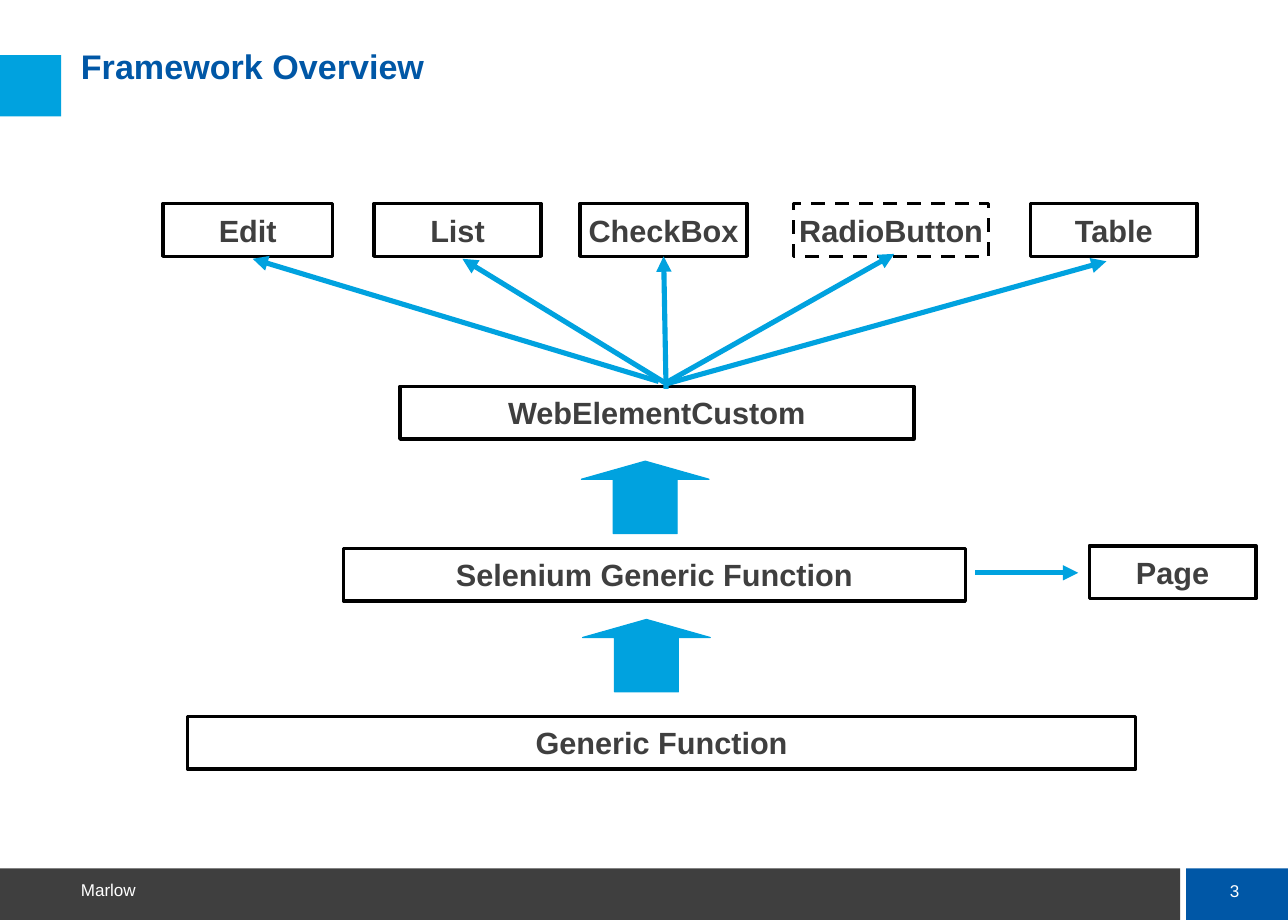
"""Build the Framework Overview slide: a layered diagram of test classes."""
from dataclasses import dataclass

from lxml import etree
from pptx import Presentation
from pptx.dml.color import RGBColor
from pptx.enum.dml import MSO_LINE
from pptx.enum.shapes import MSO_CONNECTOR, MSO_SHAPE
from pptx.enum.text import MSO_ANCHOR, MSO_AUTO_SIZE, PP_ALIGN
from pptx.oxml.ns import qn
from pptx.util import Pt

RECTANGLE, UP_ARROW = MSO_SHAPE.RECTANGLE, MSO_SHAPE.UP_ARROW
STRAIGHT, DASH = MSO_CONNECTOR.STRAIGHT, MSO_LINE.DASH
TOP, MIDDLE, BOTTOM = MSO_ANCHOR.TOP, MSO_ANCHOR.MIDDLE, MSO_ANCHOR.BOTTOM
LEFT, CENTER = PP_ALIGN.LEFT, PP_ALIGN.CENTER
NO_AUTO_SIZE = MSO_AUTO_SIZE.NONE

EMU_PER_PX = 9144
SLIDE_SIZE = (1050, 750)
TITLE_ONLY_LAYOUT = 5


@dataclass(frozen=True)
class Theme:
    """Colours, font and type sizes of the slide."""
    font: str = "Arial"
    accent: RGBColor = RGBColor(0x00, 0xA2, 0xDF)
    navy: RGBColor = RGBColor(0x00, 0x57, 0xA6)
    charcoal: RGBColor = RGBColor(0x3F, 0x3F, 0x3F)
    black: RGBColor = RGBColor(0x00, 0x00, 0x00)
    white: RGBColor = RGBColor(0xFF, 0xFF, 0xFF)
    title_size: int = 20
    box_size: int = 18
    footer_size: int = 10
    box_line: float = 2
    block_line: float = 0.75
    arrow_line: float = 3


THEME = Theme()

TITLE = ("Framework Overview", (66, 41, 896, 66))
BANDS = [
    ((0, 708, 962, 42), THEME.charcoal),
    ((967, 708, 83, 42), THEME.navy),
    ((0, 45, 50, 50), THEME.accent),
]
FOOTERS = [
    ("3", (982, 713, 49, 27), MIDDLE, CENTER),
    ("Marlow", (66, 715, 419, 19), BOTTOM, LEFT),
]
BOX_HEIGHT = 43
ELEMENT_TOP = 166
ELEMENTS = [
    ("Edit", 133, 138),
    ("List", 305, 136),
    ("CheckBox", 473, 136),
    ("RadioButton", 647, 159),
    ("Table", 840, 136),
]
DASHED_ELEMENTS = {"RadioButton"}
LAYERS = [
    ("WebElementCustom", 326, 315, 419),
    ("Selenium Generic Function", 280, 447, 507),
    ("Generic Function", 153, 584, 773),
    ("Page", 888, 445, 136),
]
BLOCK_ARROWS = [(474, 376), (475, 505)]
BLOCK_ARROW_SIZE = (104, 59)
BLOCK_ARROW_ADJUSTMENTS = (0.5, 0.25)
ARROWS = [
    ((537, 311), (206, 211)),
    ((542, 312), (377, 211)),
    ((543, 317), (541, 209)),
    ((543, 312), (729, 207)),
    ((543, 313), (902, 213)),
    ((795, 467), (879, 467)),
]


def to_emu(lengths):
    """Turn px lengths into EMU."""
    return [length * EMU_PER_PX for length in lengths]


def apply_format(target, values):
    """Set attributes from a dict of format values."""
    for name, value in values.items():
        setattr(target, name, value)


def write_text(shape, text, size, color, bold=False, anchor=MIDDLE,
               alignment=CENTER, inset=0, wrap=True):
    """Put one formatted paragraph into a shape."""
    frame = shape.text_frame
    frame.text = text
    margins = dict.fromkeys(
        ("margin_left", "margin_top", "margin_right", "margin_bottom"),
        inset * EMU_PER_PX)
    apply_format(frame, {**margins, "word_wrap": wrap,
                         "auto_size": NO_AUTO_SIZE, "vertical_anchor": anchor})
    paragraph = frame.paragraphs[0]
    paragraph.alignment = alignment
    font = paragraph.runs[0].font
    apply_format(font, {"name": THEME.font, "size": Pt(size), "bold": bold})
    font.color.rgb = color
    return paragraph


def add_block(slide, kind, area, fill=None, line=None, width=0):
    """Add a preset shape with an optional fill and outline."""
    shape = slide.shapes.add_shape(kind, *to_emu(area))
    shape.shadow.inherit = False
    if fill is None:
        shape.fill.background()
    else:
        shape.fill.solid()
        shape.fill.fore_color.rgb = fill
    if line is None:
        shape.line.fill.background()
    else:
        shape.line.color.rgb = line
        shape.line.width = Pt(width)
    return shape


def add_box(slide, text, left, top, width):
    """Add an outlined box with a bold label."""
    box = add_block(slide, RECTANGLE, (left, top, width, BOX_HEIGHT),
                    line=THEME.black, width=THEME.box_line)
    if text in DASHED_ELEMENTS:
        box.line.dash_style = DASH
    write_text(box, text, THEME.box_size, THEME.charcoal,
               bold=True, inset=10, wrap=False)


def add_arrow(slide, start, end):
    """Add a straight line with an arrowhead at its end."""
    connector = slide.shapes.add_connector(STRAIGHT, *to_emu(start + end))
    connector.line.color.rgb = THEME.accent
    connector.line.width = Pt(THEME.arrow_line)
    properties = connector.element.spPr
    etree.SubElement(properties.get_or_add_ln(), qn("a:tailEnd"), type="triangle")
    etree.SubElement(properties, qn("a:effectLst"))


def add_title(slide):
    """Place and format the title placeholder."""
    text, area = TITLE
    title = slide.shapes.title
    apply_format(title, dict(zip(("left", "top", "width", "height"), to_emu(area))))
    paragraph = write_text(title, text, THEME.title_size, THEME.navy,
                           bold=True, anchor=TOP, alignment=LEFT)
    paragraph.line_spacing = 0.9


def main():
    """Build and save the slide."""
    presentation = Presentation()
    presentation.slide_width, presentation.slide_height = to_emu(SLIDE_SIZE)
    slide = presentation.slides.add_slide(
        presentation.slide_layouts[TITLE_ONLY_LAYOUT])
    add_title(slide)
    for area, color in BANDS:
        add_block(slide, RECTANGLE, area, fill=color)
    for text, area, anchor, alignment in FOOTERS:
        footer = slide.shapes.add_textbox(*to_emu(area))
        write_text(footer, text, THEME.footer_size, THEME.white,
                   anchor=anchor, alignment=alignment)
    for text, left, width in ELEMENTS:
        add_box(slide, text, left, ELEMENT_TOP, width)
    for layer in LAYERS:
        add_box(slide, *layer)
    for position in BLOCK_ARROWS:
        arrow = add_block(slide, UP_ARROW, position + BLOCK_ARROW_SIZE,
                          THEME.accent, THEME.accent, THEME.block_line)
        for index, value in enumerate(BLOCK_ARROW_ADJUSTMENTS):
            arrow.adjustments[index] = value
    for start, end in ARROWS:
        add_arrow(slide, start, end)
    presentation.save("out.pptx")


if __name__ == "__main__":
    main()
